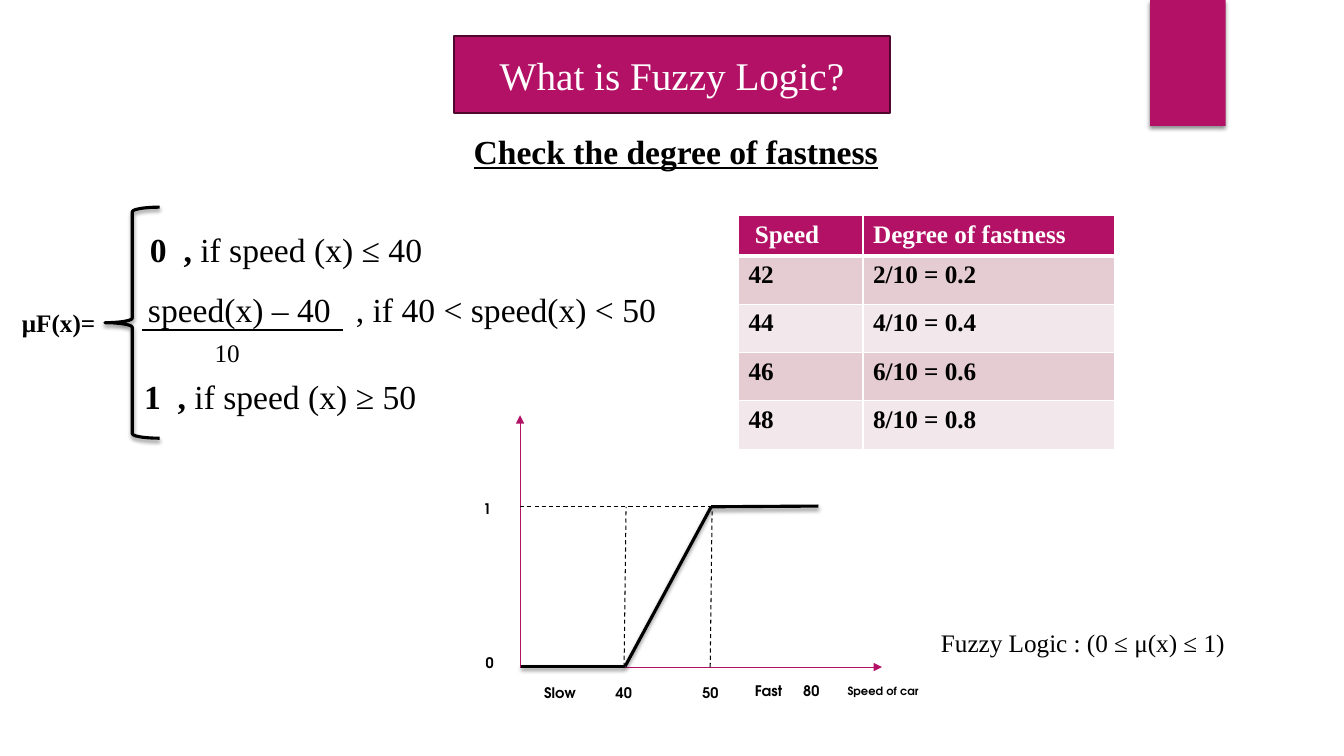
from itertools import pairwise

from lxml import etree
from pptx import Presentation
from pptx.dml.color import RGBColor
from pptx.enum.dml import MSO_LINE
from pptx.enum.shapes import MSO_CONNECTOR, MSO_SHAPE
from pptx.enum.text import MSO_ANCHOR, MSO_AUTO_SIZE, PP_ALIGN
from pptx.oxml.ns import qn
from pptx.util import Pt

RECTANGLE, LEFT_BRACE = MSO_SHAPE.RECTANGLE, MSO_SHAPE.LEFT_BRACE
STRAIGHT, DASH = MSO_CONNECTOR.STRAIGHT, MSO_LINE.DASH
CENTER, MIDDLE = PP_ALIGN.CENTER, MSO_ANCHOR.MIDDLE
GROW, FIXED = MSO_AUTO_SIZE.SHAPE_TO_FIT_TEXT, MSO_AUTO_SIZE.NONE

MAGENTA = RGBColor(0xB3, 0x11, 0x66)
DARK_MAGENTA = RGBColor(0x4E, 0x07, 0x2D)
WHITE = RGBColor(0xFF, 0xFF, 0xFF)
BLACK = RGBColor(0, 0, 0)
BANDS = (RGBColor(0xE5, 0xCC, 0xD3), RGBColor(0xF2, 0xE7, 0xEA))
SERIF, GEOMETRIC = "Times New Roman", "TeX Gyre Adventor"


def add_run(paragraph, text, size, color=BLACK, bold=False, font=SERIF):
    run = paragraph.add_run()
    run.text = text
    run.font.name, run.font.size = font, Pt(size)
    run.font.bold = bold
    run.font.color.rgb = color
    return run


def add_text(slide, left, top, width, height, tab=None):
    """Add an empty text box and return its paragraph."""
    box = slide.shapes.add_textbox(Pt(left), Pt(top), Pt(width), Pt(height))
    box.text_frame.word_wrap = True
    box.text_frame.auto_size = GROW
    paragraph = box.text_frame.paragraphs[0]
    if tab:
        properties = paragraph._p.get_or_add_pPr()
        tabs = etree.SubElement(properties, qn("a:tabLst"))
        etree.SubElement(tabs, qn("a:tab"), pos=str(Pt(tab)), algn="l")
    return paragraph


def set_effects(shape, shadow):
    properties = shape._element.spPr
    effects = etree.SubElement(properties, qn("a:effectLst"))
    if shadow:
        outer = etree.SubElement(effects, qn("a:outerShdw"), blurRad=str(Pt(3)),
                                 dist=str(Pt(2)), dir="5400000", rotWithShape="0")
        color = etree.SubElement(outer, qn("a:srgbClr"), val="000000")
        etree.SubElement(color, qn("a:alpha"), val="45000")


def add_line(slide, start, end, width, color=BLACK, dashed=False, arrow=False, shadow=False):
    line = slide.shapes.add_connector(STRAIGHT, *map(Pt, start + end))
    line.line.color.rgb = color
    line.line.width = Pt(width)
    if dashed:
        line.line.dash_style = DASH
    if arrow:
        etree.SubElement(line.line._get_or_add_ln(), qn("a:tailEnd"), type="triangle")
    set_effects(line, shadow)


def add_ribbon(slide, left, top, width, height):
    ribbon = slide.shapes.add_shape(RECTANGLE, Pt(left), Pt(top), Pt(width), Pt(height))
    ribbon.fill.solid()
    ribbon.fill.fore_color.rgb = MAGENTA
    ribbon.line.fill.background()
    set_effects(ribbon, shadow=True)


def add_heading(slide, left, top, width, height):
    # Title bar
    title = slide.shapes.title
    title.left, title.top, title.width, title.height = map(Pt, (left, top, width, height))
    title.fill.solid()
    title.fill.fore_color.rgb = MAGENTA
    title.line.color.rgb = DARK_MAGENTA
    title.line.width = Pt(1.5)
    frame = title.text_frame
    frame.auto_size, frame.vertical_anchor = FIXED, MIDDLE
    frame.paragraphs[0].alignment = CENTER
    add_run(frame.paragraphs[0], "What is Fuzzy Logic?", 28, WHITE)
    # Subtitle
    paragraph = add_text(slide, left + 7.2, top + 64, 327, 36)
    add_run(paragraph, "Check the degree of fastness", 24, bold=True).font.underline = True


def add_formula(slide, left, top):
    add_run(add_text(slide, left + 0.6, top + 68, 75.6, 29), "μF(x)=", 18, bold=True)
    brace = slide.shapes.add_shape(LEFT_BRACE, Pt(left + 67), Pt(top), Pt(39), Pt(165))
    brace.fill.background()
    brace.line.color.rgb = BLACK
    brace.line.width = Pt(2.25)
    set_effects(brace, shadow=True)
    # Cases: x, y, width, tab stop, bold part, plain part
    cases = (
        (92, 12, 287, 24, "0\t, ", "if speed (x) ≤ 40"),
        (90.6, 55, 387, 148.5, "", "speed(x) – 40\t, if 40 < speed(x) < 50"),
        (87.8, 117, 287, 24, "1\t, ", "if speed (x) ≥ 50"),
    )
    for x, y, width, tab, value, condition in cases:
        paragraph = add_text(slide, left + x, top + y, width, 36, tab)
        if value:
            add_run(paragraph, value, 24, bold=True)
        add_run(paragraph, condition, 24)
    # Fraction bar and denominator
    add_line(slide, (left + 93.5, top + 88), (left + 236.8, top + 88), 1.5)
    add_run(add_text(slide, left + 138.2, top + 89.6, 50, 29), "10", 18)


def set_borders(cell, widths):
    properties = cell._tc.get_or_add_tcPr()
    for side, width in widths.items():
        border = etree.SubElement(properties, qn(f"a:ln{side}"), w=str(Pt(width)))
        fill = etree.SubElement(border, qn("a:solidFill"))
        etree.SubElement(fill, qn("a:srgbClr"), val=str(WHITE))


def add_speed_table(slide, left, top, column_widths, header_height, row_height):
    rows = [(" Speed", "Degree of fastness")]
    rows += [(str(speed), f"{speed - 40}/10 = {(speed - 40) / 10}") for speed in range(42, 50, 2)]
    height = header_height + row_height * (len(rows) - 1)
    table = slide.shapes.add_table(len(rows), 2, Pt(left), Pt(top),
                                   Pt(sum(column_widths)), Pt(height)).table
    for column, width in zip(table.columns, column_widths):
        column.width = Pt(width)
    for index, texts in enumerate(rows):
        header = index == 0
        table.rows[index].height = Pt(header_height if header else row_height)
        for cell, text in zip(table.rows[index].cells, texts):
            set_borders(cell, {"L": 1, "R": 1, "T": 3 if index == 1 else 1, "B": 3 if header else 1})
            cell.fill.solid()
            cell.fill.fore_color.rgb = MAGENTA if header else BANDS[(index - 1) % 2]
            add_run(cell.text_frame.paragraphs[0], text, 18, WHITE if header else BLACK, bold=True)


def add_membership_graph(slide, left, top):
    axis_x, axis_y = left + 33.5, top + 180.5
    level_one = top + 66
    at_40, at_50 = left + 108.5, left + 170
    # Axes
    for end in ((axis_x, top + 0.6), (left + 292, axis_y)):
        add_line(slide, (axis_x, axis_y), end, 0.75, MAGENTA, arrow=True)
    # Guides
    add_line(slide, (axis_x, level_one), (left + 241.6, level_one), 0.75, dashed=True)
    for x in (at_40, at_50):
        add_line(slide, (x - 0.7, axis_y), (x + 0.7, level_one), 0.75, dashed=True)
    # Membership curve
    curve = ((axis_x + 1, axis_y - 0.5), (at_40, axis_y - 0.5),
             (at_50, level_one), (left + 246.6, level_one - 0.5))
    for start, end in pairwise(curve):
        add_line(slide, start, end, 2.25, shadow=True)
    # Axis labels: text, x, y, width, size
    labels = (
        ("1", 0, 45.3, 47.5, 18), ("0", 1.8, 155.4, 47.5, 18),
        ("Slow", 43.6, 177, 60, 18), ("40", 94.7, 177, 47.5, 18),
        ("50", 156.6, 177, 47.5, 18), ("Fast", 194.1, 175.6, 68.4, 18),
        ("80", 228.6, 175.6, 47.5, 18), ("Speed of car", 260.3, 180, 108.7, 14),
    )
    for text, x, y, width, size in labels:
        paragraph = add_text(slide, left + x, top + y, width, size * 1.2)
        run = add_run(paragraph, text, size, bold=True, font=GEOMETRIC)
        run._r.get_or_add_rPr().set("baseline", "-25000")


def main():
    presentation = Presentation()
    presentation.slide_width, presentation.slide_height = Pt(960), Pt(540)
    slide = presentation.slides.add_slide(presentation.slide_layouts[5])
    add_ribbon(slide, 821.5, 0, 54, 90)
    add_heading(slide, 324, 26, 312, 54.5)
    add_formula(slide, 8, 148)
    add_speed_table(slide, 527.5, 154, (89, 180), 28, 34.5)
    add_membership_graph(slide, 338, 296)
    add_run(add_text(slide, 665, 444.5, 222.5, 29), "Fuzzy Logic : (0 ≤ μ(x) ≤ 1)", 18)
    presentation.save("out.pptx")


if __name__ == "__main__":
    main()
